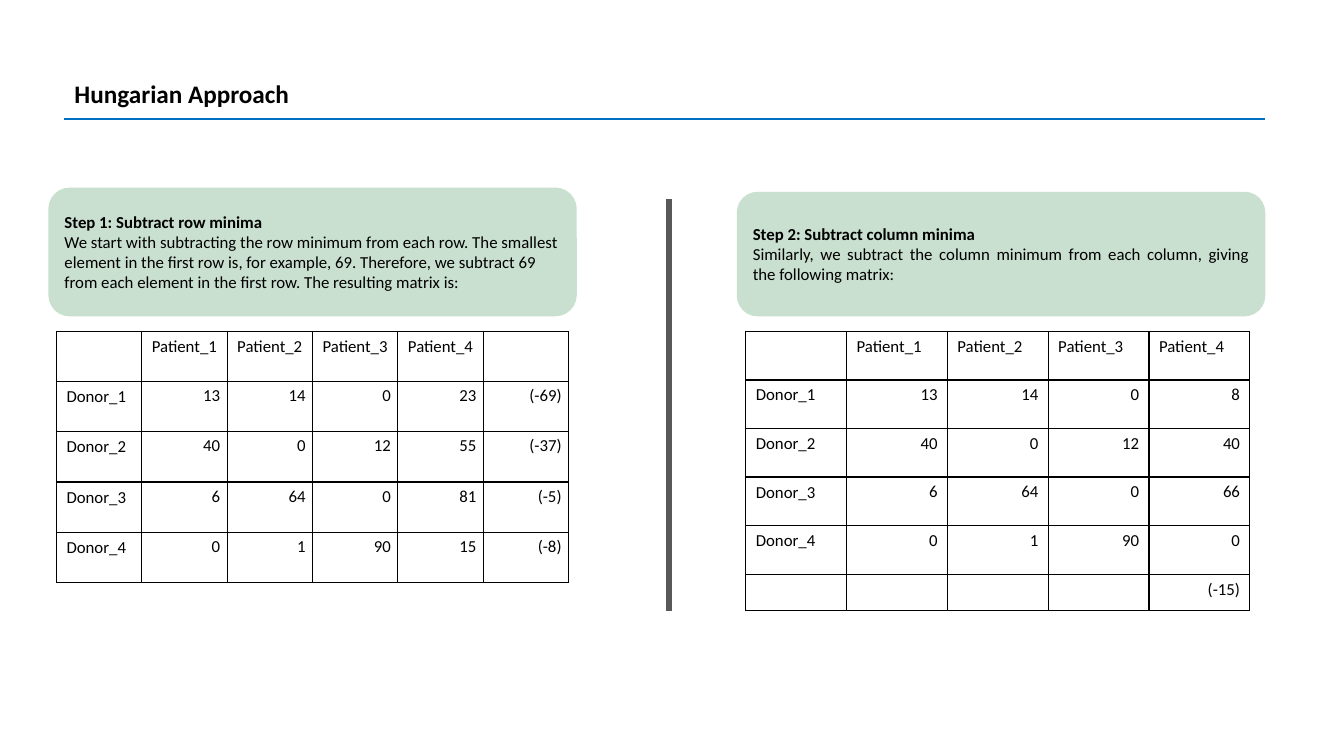
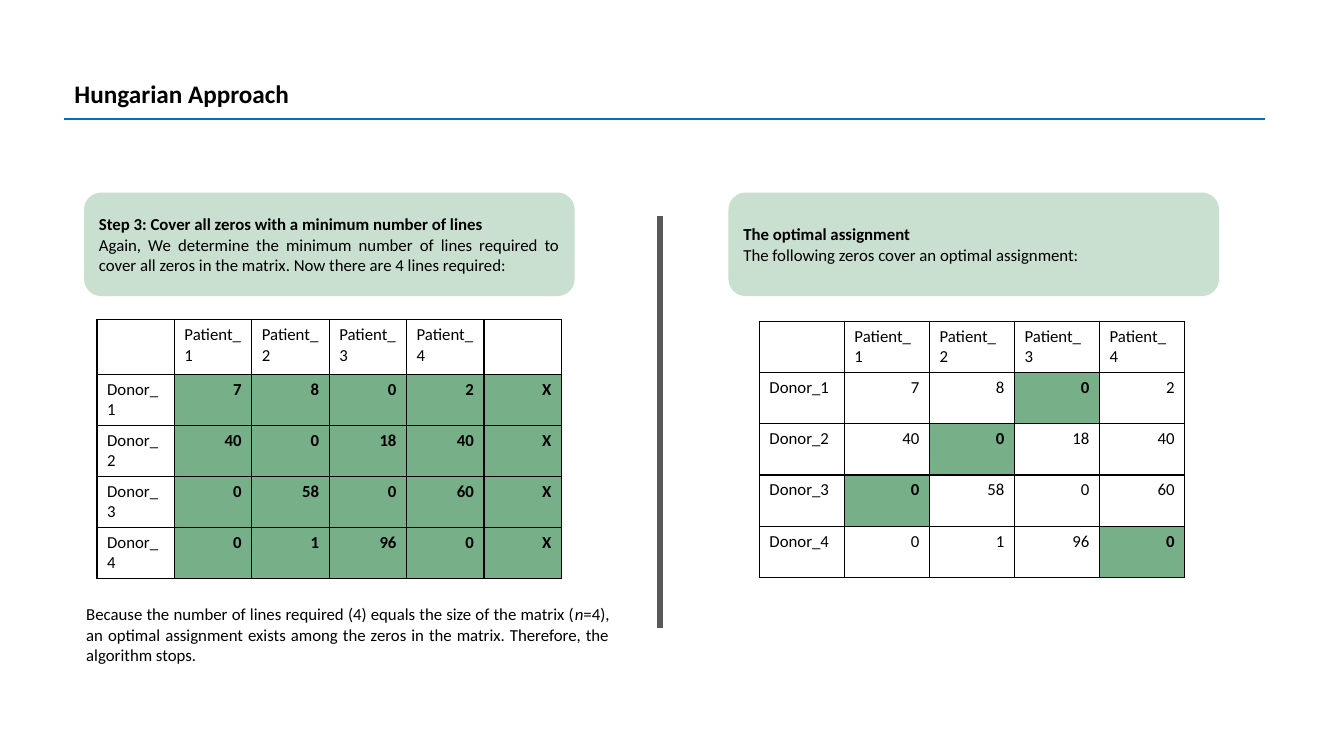
from itertools import product

from lxml.etree import SubElement
from pptx import Presentation
from pptx.dml.color import RGBColor
from pptx.enum.shapes import MSO_CONNECTOR, MSO_SHAPE
from pptx.enum.text import MSO_ANCHOR as ANCHOR, MSO_AUTO_SIZE as AUTO, PP_ALIGN as ALIGN
from pptx.oxml.ns import qn
from pptx.util import Pt

FONT = "Calibri"
BLACK, WHITE = "000000", "FFFFFF"
PALE_GREEN, GREEN = "C9DFCF", "77AF88"
BLUE, GRAY = "0070C0", "595959"
TITLE = "Hungarian Approach"
PATIENTS = ["", "Patient_1", "Patient_2", "Patient_3", "Patient_4"]

SLIDES = [
    {
        "divider": (478, 142, 436.5),
        "cards": [
            {"box": (34.5, 134, 377.5, 92), "align": ALIGN.LEFT,
             "head": "Step 1: Subtract row minima",
             "body": "We start with subtracting the row minimum from each row. The smallest "
                     "element in the first row is, for example, 69. Therefore, we subtract 69 "
                     "from each element in the first row. The resulting matrix is:"},
            {"box": (526.3, 137, 377.5, 89), "align": ALIGN.JUSTIFY,
             "head": "Step 2: Subtract column minima",
             "body": "Similarly, we subtract the column minimum from each column, giving "
                     "the following matrix:"},
        ],
        "matrices": [
            {"at": (40.3, 236.7), "col": 61, "heights": [35.9] * 5, "pad": (5, 2.9),
             "rows": [
                 PATIENTS + [""],
                 ["Donor_1", "13", "14", "0", "23", "(-69)"],
                 ["Donor_2", "40", "0", "12", "55", "(-37)"],
                 ["Donor_3", "6", "64", "0", "81", "(-5)"],
                 ["Donor_4", "0", "1", "90", "15", "(-8)"],
             ]},
            {"at": (532.7, 236.7), "col": 72, "heights": [34.7] * 5 + [25.8], "pad": (7, 3.5),
             "rows": [
                 PATIENTS,
                 ["Donor_1", "13", "14", "0", "8"],
                 ["Donor_2", "40", "0", "12", "40"],
                 ["Donor_3", "6", "64", "0", "66"],
                 ["Donor_4", "0", "1", "90", "0"],
                 ["", "", "", "", "(-15)"],
             ]},
        ],
    },
    {
        "divider": (471.5, 154, 448.5),
        "cards": [
            {"box": (60, 137.5, 350.5, 74), "align": ALIGN.JUSTIFY,
             "head": "Step 3: Cover all zeros with a minimum number of lines",
             "body": "Again, We determine the minimum number of lines required to cover all "
                     "zeros in the matrix. Now there are 4 lines required:"},
            {"box": (520.3, 137.5, 350.5, 74), "align": ALIGN.LEFT,
             "head": "The optimal assignment",
             "body": "The following zeros cover an optimal assignment:"},
        ],
        "matrices": [
            {"at": (69.3, 228.3), "col": 55.3, "heights": [39] + [36.5] * 4, "pad": (7.2, 3.6),
             "marks": set(product(range(1, 5), range(1, 6))),
             "rows": [
                 PATIENTS + [""],
                 ["Donor_1", "7", "8", "0", "2", "X"],
                 ["Donor_2", "40", "0", "18", "40", "X"],
                 ["Donor_3", "0", "58", "0", "60", "X"],
                 ["Donor_4", "0", "1", "96", "0", "X"],
             ]},
            {"at": (542.4, 229.5), "col": 60.75, "heights": [36.6] * 5, "pad": (7.2, 3.6),
             "marks": {(1, 3), (2, 2), (3, 1), (4, 4)},
             "rows": [
                 PATIENTS,
                 ["Donor_1", "7", "8", "0", "2"],
                 ["Donor_2", "40", "0", "18", "40"],
                 ["Donor_3", "0", "58", "0", "60"],
                 ["Donor_4", "0", "1", "96", "0"],
             ]},
        ],
        "note": {
            "box": (54.5, 428, 388, 51),
            "runs": [
                ("Because the number of lines required (4) equals the size of the matrix (", False),
                ("n", True),
                ("=4), an optimal assignment exists among the zeros in the matrix. "
                 "Therefore, the algorithm stops.", False),
            ],
        },
    },
]


def rgb(color):
    return RGBColor.from_string(color)


def points(values):
    return [Pt(v) for v in values]


def add_run(p, text, size=12, bold=False, italic=False):
    r = p.add_run()
    r.text = text
    r.font.name = FONT
    r.font.size = Pt(size)
    r.font.bold = bold
    r.font.italic = italic
    r.font.color.rgb = rgb(BLACK)


def add_title(s):
    sp = s.shapes.title
    sp.left, sp.top, sp.width, sp.height = points((46, 52.5, 757, 29))
    tf = sp.text_frame
    tf.auto_size = AUTO.NONE
    tf.vertical_anchor = ANCHOR.MIDDLE
    p = tf.paragraphs[0]
    p.alignment = ALIGN.LEFT
    add_run(p, TITLE, 18, bold=True)


def add_line(s, x1, y1, x2, y2, color, width):
    line = s.shapes.add_connector(MSO_CONNECTOR.STRAIGHT, *points((x1, y1, x2, y2)))
    line.line.color.rgb = rgb(color)
    line.line.width = Pt(width)
    SubElement(line._element.spPr, qn("a:effectLst"))


def add_card(s, card):
    sp = s.shapes.add_shape(MSO_SHAPE.ROUNDED_RECTANGLE, *points(card["box"]))
    sp.shadow.inherit = False
    sp.fill.solid()
    sp.fill.fore_color.rgb = rgb(PALE_GREEN)
    sp.line.fill.background()
    tf = sp.text_frame
    tf.word_wrap = True
    tf.vertical_anchor = ANCHOR.MIDDLE
    head, body = tf.paragraphs[0], tf.add_paragraph()
    head.alignment = body.alignment = card["align"]
    add_run(head, card["head"], bold=True)
    add_run(body, card["body"])


def add_borders(cell):
    tcPr = cell._tc.get_or_add_tcPr()
    for side in ("lnL", "lnR", "lnT", "lnB"):
        ln = SubElement(tcPr, qn("a:" + side), w=str(Pt(1)))
        fill = SubElement(ln, qn("a:solidFill"))
        SubElement(fill, qn("a:srgbClr"), val=BLACK)


def fill_cell(cell, text, is_value, marked, pad):
    add_borders(cell)
    cell.fill.solid()
    cell.fill.fore_color.rgb = rgb(GREEN if marked else WHITE)
    p = cell.text_frame.paragraphs[0]
    if is_value:
        p.alignment = ALIGN.RIGHT
        cell.margin_left = cell.margin_right = Pt(pad[0])
        cell.margin_top = cell.margin_bottom = Pt(pad[1])
    if text:
        add_run(p, text, bold=marked)
    else:
        SubElement(p._p, qn("a:endParaRPr"), sz="1200")


def add_matrix(s, matrix):
    rows, heights = matrix["rows"], matrix["heights"]
    n_cols = len(rows[0])
    size = (matrix["col"] * n_cols, sum(heights))
    table = s.shapes.add_table(len(rows), n_cols, *points(matrix["at"] + size)).table
    table.first_row = table.horz_banding = False
    for column in table.columns:
        column.width = Pt(matrix["col"])
    for row, height in zip(table.rows, heights):
        row.height = Pt(height)
    marks = matrix.get("marks", set())
    for i, row in enumerate(rows):
        for j, text in enumerate(row):
            fill_cell(table.cell(i, j), text, i > 0 and j > 0, (i, j) in marks, matrix["pad"])


def add_note(s, note):
    tf = s.shapes.add_textbox(*points(note["box"])).text_frame
    tf.word_wrap = True
    p = tf.paragraphs[0]
    p.alignment = ALIGN.JUSTIFY
    for text, italic in note["runs"]:
        add_run(p, text, italic=italic)


def main():
    prs = Presentation()
    prs.slide_width, prs.slide_height = Pt(960), Pt(540)
    for content in SLIDES:
        s = prs.slides.add_slide(prs.slide_layouts[5])
        add_title(s)
        add_line(s, 46, 85, 903.6, 85, BLUE, 1.5)
        x, top, bottom = content["divider"]
        add_line(s, x, top, x, bottom, GRAY, 4.5)
        for card in content["cards"]:
            add_card(s, card)
        for matrix in content["matrices"]:
            add_matrix(s, matrix)
        if "note" in content:
            add_note(s, content["note"])
    prs.save("out.pptx")


if __name__ == "__main__":
    main()
